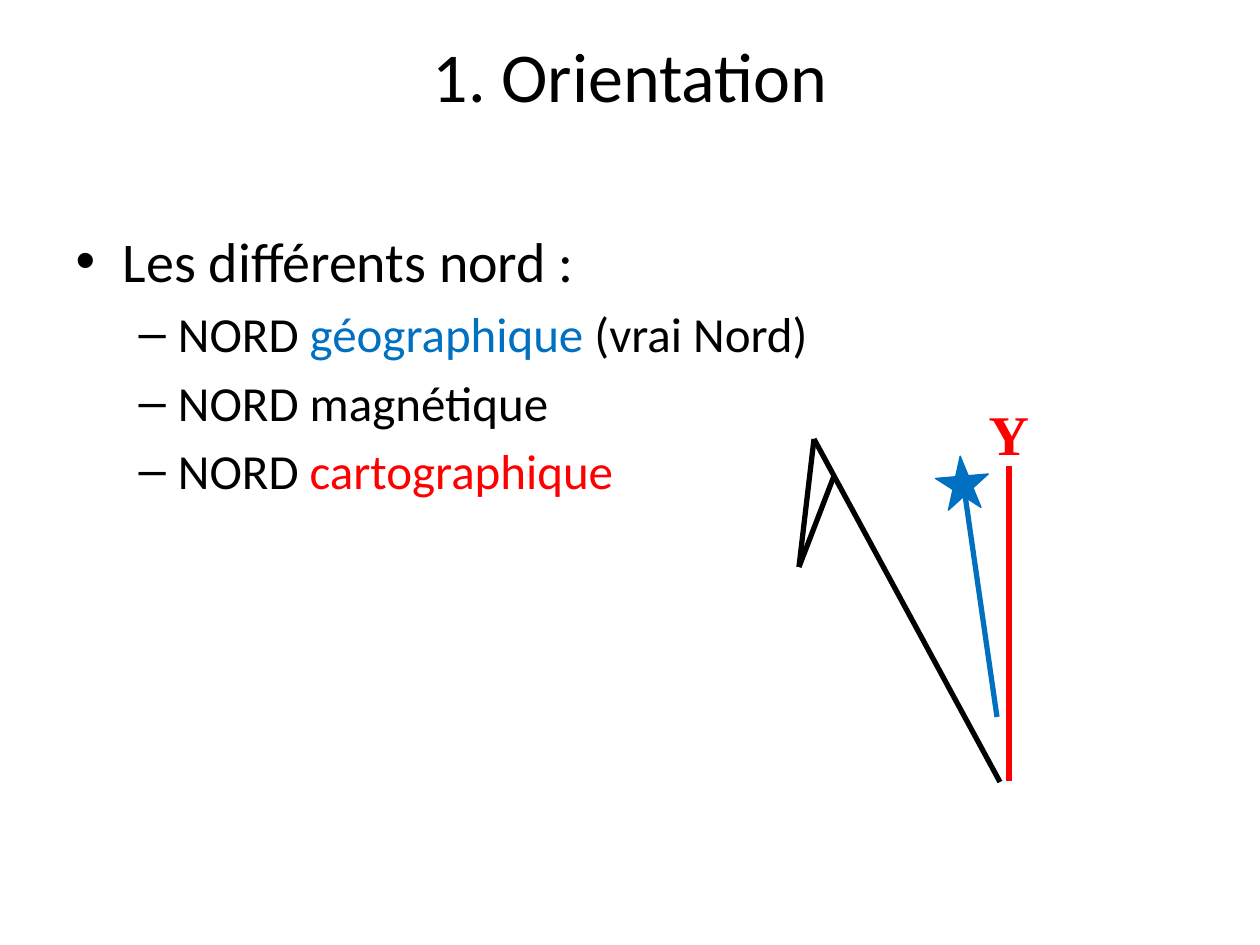
from lxml import etree
from pptx import Presentation
from pptx import util as u
from pptx.dml.color import RGBColor
from pptx.enum import shapes, text
from pptx.oxml.ns import qn

COLORS = {
    "black": "000000",
    "geographic": "0070C0",
    "grid": "FF0000",
}
BODY_FONT = "Calibri"
LABEL_FONT = "Times New Roman"
EMU_PER_PX = 914400 / 126


def px(length):
    return u.Emu(round(length * EMU_PER_PX))


def rgb(color):
    return RGBColor.from_string(COLORS[color])


class SlideBuilder:
    def __init__(self, slide):
        self.slide = slide

    def place(self, shape, box):
        shape.left, shape.top, shape.width, shape.height = map(px, box)

    def style(self, font, name, size, color="black", bold=None):
        font.name = name
        font.size = u.Pt(size)
        font.bold = bold
        font.color.rgb = rgb(color)

    def title(self, wording, box):
        heading = self.slide.shapes.title
        self.place(heading, box)
        paragraph = heading.text_frame.paragraphs[0]
        paragraph.alignment = text.PP_ALIGN.CENTER
        self.style(paragraph.font, BODY_FONT, 40)
        paragraph.add_run().text = wording
        paragraph.add_line_break()

    def bullets(self, items, box):
        body = self.slide.placeholders[1]
        self.place(body, box)
        frame = body.text_frame
        for index, (level, pieces) in enumerate(items):
            paragraph = frame.add_paragraph() if index else frame.paragraphs[0]
            paragraph.level = level
            if not index:
                paragraph.space_before = u.Pt(0)
            self.style(paragraph.font, BODY_FONT, 28 if level else 32)
            for wording, color in pieces:
                run = paragraph.add_run()
                run.text = wording
                if color != "black":
                    run.font.color.rgb = rgb(color)

    def line(self, start, end, color, parent=None):
        owner = parent.shapes if parent else self.slide.shapes
        stroke = owner.add_connector(
            shapes.MSO_CONNECTOR.STRAIGHT, *map(px, start + end))
        stroke.line.color.rgb = rgb(color)
        stroke.line.width = u.Pt(3)
        etree.SubElement(stroke._element.spPr, qn("a:effectLst"))

    def arrow(self, strokes, color):
        group = self.slide.shapes.add_group_shape()
        for start, end in strokes:
            self.line(start, end, color, group)

    def star(self, box, rotation, color):
        star = self.slide.shapes.add_shape(
            shapes.MSO_SHAPE.STAR_5_POINT, *map(px, box))
        star.rotation = rotation
        star.shadow.inherit = False
        star.fill.solid()
        star.fill.fore_color.rgb = rgb(color)
        star.line.color.rgb = rgb(color)
        star.line.width = u.Pt(0.75)

    def label(self, wording, box, color):
        frame = self.slide.shapes.add_textbox(*map(px, box)).text_frame
        frame.word_wrap = True
        frame.auto_size = text.MSO_AUTO_SIZE.SHAPE_TO_FIT_TEXT
        paragraph = frame.paragraphs[0]
        paragraph.alignment = text.PP_ALIGN.CENTER
        self.style(paragraph.font, LABEL_FONT, 32, color, True)
        paragraph.add_run().text = wording


def main():
    deck = Presentation()
    deck.slide_width, deck.slide_height = px(1260), px(945)
    page = SlideBuilder(deck.slides.add_slide(deck.slide_layouts[1]))

    page.title("1. Orientation", (63, 38, 1134, 157))
    page.bullets([
        (0, [("Les différents nord :", "black")]),
        (1, [("NORD ", "black"), ("géographique ", "geographic"),
             ("(vrai Nord)", "black")]),
        (1, [("NORD magnétique", "black")]),
        (1, [("NORD ", "black"), ("cartographique", "grid")]),
    ], (63, 220, 1134, 624))

    tip, barb = (814, 439), (799, 567)
    page.arrow([(tip, (1000, 782)), (tip, barb), ((834, 476), barb)], "black")
    page.star((936, 456, 53, 53), 355.1, "geographic")
    page.line((961, 467), (997, 717), "geographic")
    page.line((1009, 466), (1009, 781), "grid")
    page.label("Y", (946, 393, 126, 79), "grid")

    deck.save("out.pptx")


if __name__ == "__main__":
    main()
